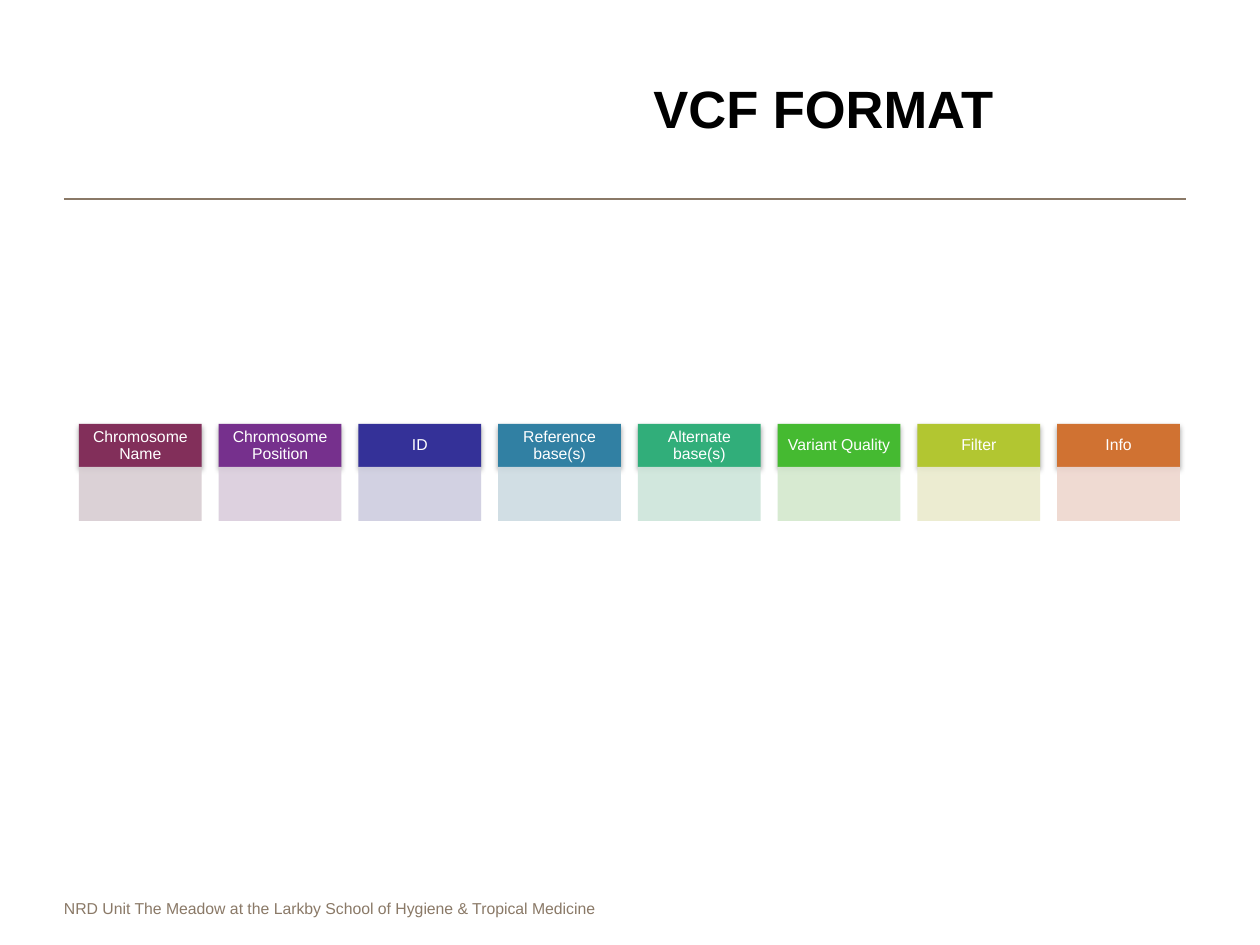
from pptx import Presentation
from pptx.dml.color import RGBColor
from pptx.enum.shapes import MSO_CONNECTOR, MSO_SHAPE
from pptx.enum.text import MSO_ANCHOR, PP_ALIGN
from pptx.oxml import parse_xml
from pptx.oxml.ns import nsdecls, qn
from pptx.util import Inches, Pt
from lxml import etree

SCALE = Inches(1) / 126
COLORS = {"ink": "000000", "paper": "FFFFFF", "brown": "8A7967"}
FIELDS = [
    ("Chromosome Name", "822F5A", "D8CDD2"),
    ("Chromosome Position", "76308D", "DACDDC"),
    ("ID", "343198", "CECDDF"),
    ("Reference base(s)", "3180A3", "CDDBE2"),
    ("Alternate base(s)", "31AE7A", "CDE5DA"),
    ("Variant Quality", "45BA31", "D3E8CD"),
    ("Filter", "B2C631", "EAEBCD"),
    ("Info", "D07232", "EED6CE"),
]


def px(n):
    return round(n * SCALE)


def write(shape, text, size, color, align, pad, bold=False):
    frame = shape.text_frame
    frame.text = text
    frame.word_wrap = True
    frame.vertical_anchor = MSO_ANCHOR.MIDDLE
    frame.margin_left = frame.margin_right = px(pad[0])
    frame.margin_top = frame.margin_bottom = px(pad[1])
    line = frame.paragraphs[0]
    line.alignment = align
    font = line.runs[0].font
    font.name, font.size, font.bold = "Arial", Pt(size), bold
    font.color.rgb = RGBColor.from_string(color)
    return line


def add_text(slide, box, *style, **more):
    shape = slide.shapes.add_textbox(*map(px, box))
    return write(shape, *style, **more)


def add_rect(slide, box, color):
    rect = slide.shapes.add_shape(MSO_SHAPE.RECTANGLE, *map(px, box))
    rect.shadow.inherit = False
    rect.fill.solid()
    rect.fill.fore_color.rgb = RGBColor.from_string(color)
    rect.line.fill.background()
    return rect


def add_shade(shape):
    # Soft shadow straight below the shape
    effects = shape.element.spPr.find(qn("a:effectLst"))
    effects.append(parse_xml(
        f'<a:outerShdw {nsdecls("a")} blurRad="{Pt(3.1)}" dist="{Pt(1.8)}" '
        'dir="5400000" rotWithShape="0"><a:srgbClr val="000000">'
        '<a:alpha val="35000"/></a:srgbClr></a:outerShdw>'))


def add_field(slide, box, name, dark, light):
    left, top, width, height = box
    head = 43
    # Name plate
    plate = add_rect(slide, (left, top, width, head), dark)
    add_shade(plate)
    line = write(plate, name, 9, COLORS["paper"], PP_ALIGN.CENTER, (9, 5))
    line.line_spacing = 0.9
    # Pale body, slightly see-through
    body = add_rect(slide, (left, top + head, width, height - head), light)
    tint = body.fill._xPr.find(qn("a:solidFill"))[0]
    etree.SubElement(tint, qn("a:alpha")).set("val", "90000")


def add_fields(slide, box, gap=17):
    left, top, width, height = box
    step = (width + gap) / len(FIELDS)
    for i, field in enumerate(FIELDS):
        add_field(slide, (left + i * step, top, step - gap, height), *field)


def add_header(slide, box):
    left, top, width, height = box
    add_text(slide, (left + 566, top, 387, 87), "VCF FORMAT", 30,
             COLORS["ink"], PP_ALIGN.CENTER, (13, 6), bold=True)
    # Rule under the title
    base = top + height
    rule = slide.shapes.add_connector(
        MSO_CONNECTOR.STRAIGHT, *map(px, (left, base, left + width, base)))
    rule.line.color.rgb = RGBColor.from_string(COLORS["brown"])
    rule.line.width = Pt(1.5)
    etree.SubElement(rule.element.spPr, qn("a:effectLst"))


def add_footer(slide, box):
    add_text(slide, box,
             "NRD Unit The Meadow at the Larkby School of Hygiene & Tropical Medicine",
             9, COLORS["brown"], PP_ALIGN.LEFT, (0, 6))


deck = Presentation()
deck.slide_width, deck.slide_height = px(1260), px(945)
slide = deck.slides.add_slide(deck.slide_layouts[6])
add_header(slide, (64, 64, 1122, 135))
add_fields(slide, (79, 424, 1101, 97))
add_footer(slide, (64, 892, 680, 32))
deck.save("out.pptx")
